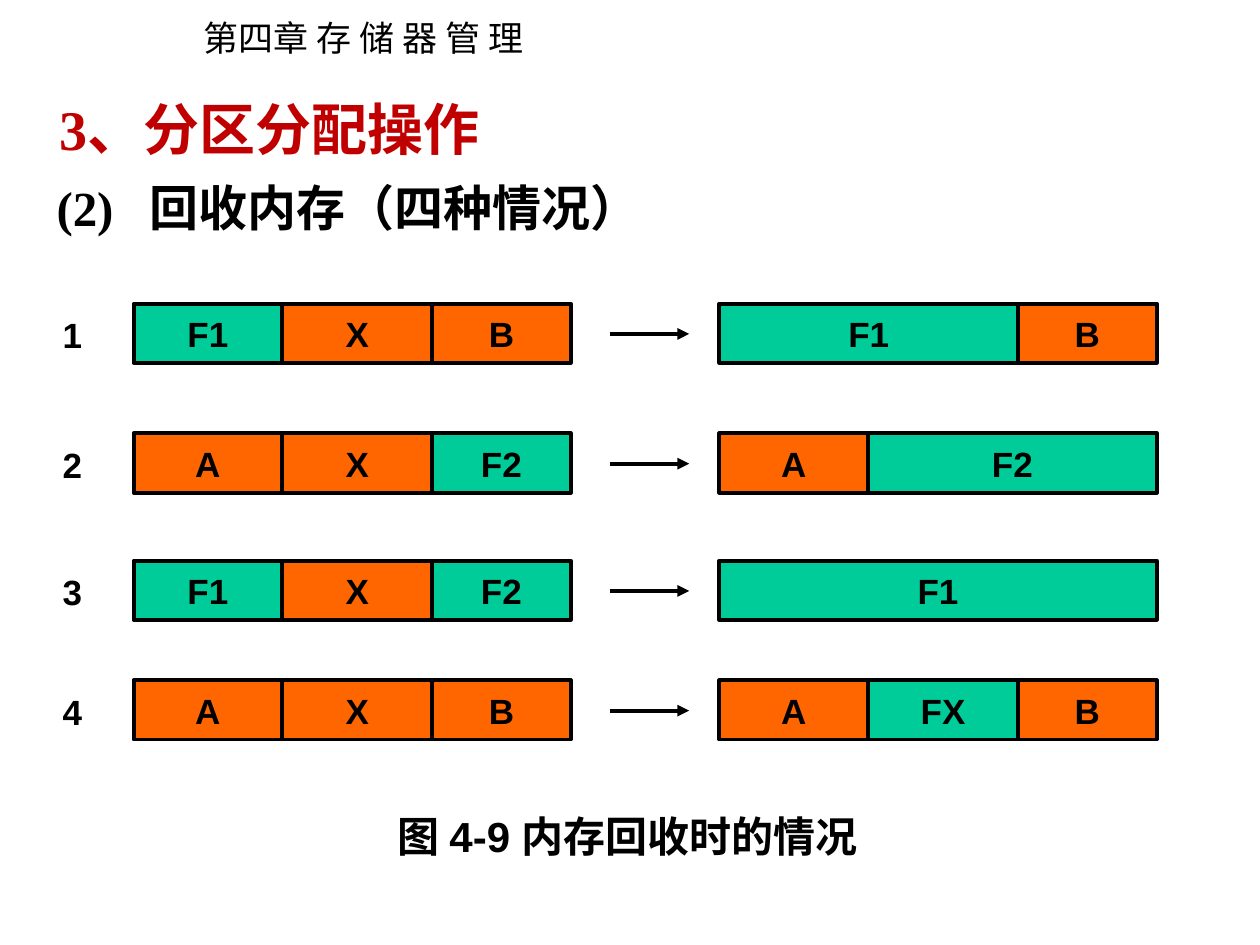
import pptx
import pptx.dml.color
import pptx.enum.shapes
import pptx.enum.text
import pptx.oxml.ns
import pptx.util
from lxml import etree
from pptx.util import Inches

RGBColor = pptx.dml.color.RGBColor
BLACK = RGBColor(0x00, 0x00, 0x00)
RED = RGBColor(0xC0, 0x00, 0x00)
FREE_GREEN = RGBColor(0x00, 0xCC, 0x99)
USED_ORANGE = RGBColor(0xFF, 0x66, 0x00)
qn = pptx.oxml.ns.qn
ALIGN = pptx.enum.text.PP_ALIGN
ANCHOR = pptx.enum.text.MSO_ANCHOR


def write_text(shape, text, size, font_name="Arial", color=BLACK, bold=True,
               align=ALIGN.LEFT, anchor=ANCHOR.TOP, tab_stop=None):
    frame = shape.text_frame
    frame.word_wrap = True
    frame.auto_size = pptx.enum.text.MSO_AUTO_SIZE.NONE
    frame.vertical_anchor = anchor
    paragraph = frame.paragraphs[0]
    paragraph.text = text
    paragraph.alignment = align
    if tab_stop is not None:
        tabs = etree.SubElement(paragraph._p.get_or_add_pPr(), qn("a:tabLst"))
        etree.SubElement(tabs, qn("a:tab"), pos=str(tab_stop), algn="l")
    font = paragraph.font
    font.name = font_name
    font.size = pptx.util.Pt(size)
    font.bold = bold
    font.color.rgb = color
    etree.SubElement(font._element, qn("a:ea"), typeface="Noto Sans CJK SC")


def add_partition(left, top, width, name):
    """Draw one memory partition; names starting with F are free areas."""
    box = slide.shapes.add_shape(pptx.enum.shapes.MSO_SHAPE.RECTANGLE,
                                 Inches(left), Inches(top), Inches(width), Inches(0.47))
    box.shadow.inherit = False
    box.fill.solid()
    box.fill.fore_color.rgb = FREE_GREEN if name.startswith("F") else USED_ORANGE
    box.line.color.rgb = BLACK
    box.line.width = pptx.util.Pt(2.25)
    write_text(box, name, 20, align=ALIGN.CENTER, anchor=ANCHOR.MIDDLE)


presentation = pptx.Presentation()
presentation.slide_width = Inches(10)
presentation.slide_height = Inches(7.5)
slide = presentation.slides.add_slide(presentation.slide_layouts[5])

# Headings and caption
title = slide.shapes.title
title.left, title.top = Inches(0.37), Inches(0.7)
title.width, title.height = Inches(3.74), Inches(0.64)
write_text(title, "3、分区分配操作", 32, "Times New Roman", RED)

chapter = slide.shapes.add_textbox(Inches(1.52), Inches(0.08), Inches(2.8), Inches(0.44))
write_text(chapter, "第四章 存 储 器 管 理", 20, "Noto Sans CJK SC", bold=False)

subtitle = slide.shapes.add_textbox(Inches(0.35), Inches(1.36), Inches(4.91), Inches(0.57))
write_text(subtitle, "(2)\t回收内存（四种情况）", 28, "Times New Roman", tab_stop=Inches(0.74))

caption = slide.shapes.add_textbox(Inches(3.06), Inches(6.38), Inches(4.08), Inches(0.5))
write_text(caption, "图 4-9 内存回收时的情况", 24)

# Each case: row top, partitions before, and (name, first column, end column) after
column_edges = [0, 1.18, 2.37, 3.47]
before_left, after_left = 1.06, 5.71
cases = [
    (2.41, ["F1", "X", "B"], [("F1", 0, 2), ("B", 2, 3)]),
    (3.44, ["A", "X", "F2"], [("A", 0, 1), ("F2", 1, 3)]),
    (4.45, ["F1", "X", "F2"], [("F1", 0, 3)]),
    (5.4, ["A", "X", "B"], [("A", 0, 1), ("FX", 1, 2), ("B", 2, 3)]),
]
for number, (top, before, after) in enumerate(cases, start=1):
    label = slide.shapes.add_textbox(Inches(0.2), Inches(top + 0.03), Inches(0.75), Inches(0.44))
    write_text(label, str(number), 20, align=ALIGN.CENTER)

    before_spans = [(name, column, column + 1) for column, name in enumerate(before)]
    for row_left, spans in ((before_left, before_spans), (after_left, after)):
        for name, first, end in spans:
            start = column_edges[first]
            add_partition(row_left + start, top, column_edges[end] - start, name)

    arrow_y = Inches(top + 0.24)
    arrow = slide.shapes.add_connector(pptx.enum.shapes.MSO_CONNECTOR.STRAIGHT,
                                       Inches(4.84), arrow_y, Inches(5.47), arrow_y)
    arrow.line.color.rgb = BLACK
    arrow.line.width = pptx.util.Pt(2.25)
    etree.SubElement(arrow.line._get_or_add_ln(), qn("a:tailEnd"), type="triangle")
    etree.SubElement(arrow._element.spPr, qn("a:effectLst"))

presentation.save("out.pptx")
